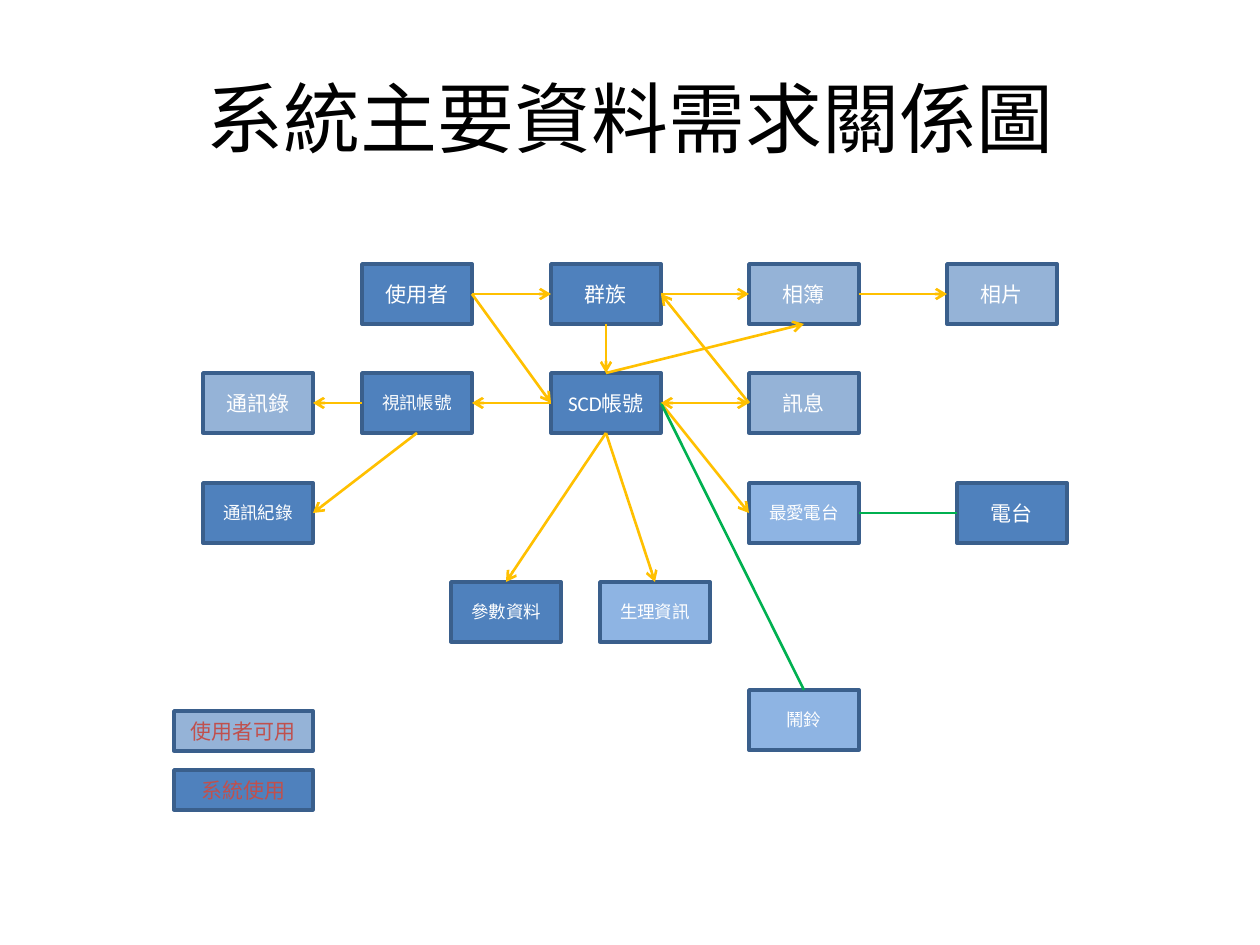
import pptx
import pptx.util
import pptx.dml.color
import pptx.enum.shapes
import pptx.enum.text
import pptx.oxml.ns
from lxml import etree

# Content
TITLE = "系統主要資料需求關係圖"
HUE = {"sys": "4F81BD", "user": "95B3D7", "soft": "8EB4E3", "edge": "3A5F8C",
       "white": "FFFFFF", "black": "000000", "red": "C0504D",
       "gold": "FFC000", "green": "00B050"}
ROWS = [264, 373, 483, 582, 690]
BOX = (110, 60)
KEY = (139, 40)

# Data boxes: text, left, row, fill, text size
NODES = [
    ("使用者", 362, 0, "sys", 12),
    ("群族", 551, 0, "sys", 12),
    ("相簿", 749, 0, "user", 12),
    ("相片", 947, 0, "user", 12),
    ("通訊錄", 203, 1, "user", 12),
    ("視訊帳號", 362, 1, "sys", 10),
    ("SCD帳號", 551, 1, "sys", 12),
    ("訊息", 749, 1, "user", 12),
    ("通訊紀錄", 203, 2, "sys", 10),
    ("最愛電台", 749, 2, "soft", 10),
    ("電台", 957, 2, "sys", 12),
    ("參數資料", 451, 3, "sys", 10),
    ("生理資訊", 600, 3, "soft", 10),
    ("鬧鈴", 749, 4, "soft", 10),
]
LEGEND = [("使用者可用", 711, "user"), ("系統使用", 770, "sys")]

# Links: from, side, to, side, colour, arrowheads
SIDES = {"top": 0, "left": 1, "bottom": 2, "right": 3}
END, BOTH = ("tailEnd",), ("headEnd", "tailEnd")
LINKS = [
    ("群族", "bottom", "SCD帳號", "top", "gold", END),
    ("使用者", "right", "群族", "left", "gold", END),
    ("群族", "right", "相簿", "left", "gold", END),
    ("相簿", "right", "相片", "left", "gold", END),
    ("訊息", "left", "群族", "right", "gold", END),
    ("SCD帳號", "left", "視訊帳號", "right", "gold", END),
    ("視訊帳號", "bottom", "通訊紀錄", "right", "gold", END),
    ("最愛電台", "right", "電台", "left", "green", ()),
    ("SCD帳號", "right", "最愛電台", "left", "gold", END),
    ("SCD帳號", "right", "鬧鈴", "top", "green", ()),
    ("SCD帳號", "bottom", "生理資訊", "top", "gold", END),
    ("SCD帳號", "bottom", "參數資料", "top", "gold", END),
    ("視訊帳號", "left", "通訊錄", "right", "gold", END),
    ("使用者", "right", "SCD帳號", "left", "gold", END),
    ("訊息", "left", "SCD帳號", "right", "gold", BOTH),
    ("SCD帳號", "top", "相簿", "bottom", "gold", END),
]


def px(n):
    return pptx.util.Emu(round(n * 914400 / 126))


def rgb(name):
    return pptx.dml.color.RGBColor.from_string(HUE[name])


def style(frame, size, hue):
    frame.word_wrap = True
    frame.vertical_anchor = pptx.enum.text.MSO_ANCHOR.MIDDLE
    para = frame.paragraphs[0]
    para.alignment = pptx.enum.text.PP_ALIGN.CENTER
    font = para.runs[0].font
    font.name, font.size = "Calibri", pptx.util.Pt(size)
    font.color.rgb = rgb(hue)


def add_box(slide, text, left, top, dims, fill, size, hue):
    box = slide.shapes.add_shape(
        pptx.enum.shapes.MSO_SHAPE.RECTANGLE,
        px(left), px(top), px(dims[0]), px(dims[1]))
    box.shadow.inherit = False
    box.fill.solid()
    box.fill.fore_color.rgb = rgb(fill)
    box.line.color.rgb = rgb("edge")
    box.line.width = pptx.util.Pt(2)
    frame = box.text_frame
    frame.text = text
    frame.margin_left = frame.margin_right = px(6)
    style(frame, size, hue)
    return box


def add_link(slide, start, out, stop, into, hue, heads):
    link = slide.shapes.add_connector(
        pptx.enum.shapes.MSO_CONNECTOR.STRAIGHT, 0, 0, 0, 0)
    link.begin_connect(start, SIDES[out])
    link.end_connect(stop, SIDES[into])
    link.line.color.rgb = rgb(hue)
    link.line.width = pptx.util.Pt(1.5)
    qn = pptx.oxml.ns.qn
    props = link._element.spPr
    for head in heads:
        etree.SubElement(props.find(qn("a:ln")), qn("a:" + head), type="arrow")
    etree.SubElement(props, qn("a:effectLst"))


def main():
    deck = pptx.Presentation()
    deck.slide_width, deck.slide_height = px(1260), px(945)
    slide = deck.slides.add_slide(deck.slide_layouts[5])

    # Title
    title = slide.shapes.title
    title.left, title.top, title.width, title.height = map(px, (63, 38, 1134, 157))
    title.text_frame.text = TITLE
    style(title.text_frame, 44, "black")

    # Data boxes and the links between them
    boxes = {text: add_box(slide, text, left, ROWS[row], BOX, fill, size, "white")
             for text, left, row, fill, size in NODES}
    for start, out, stop, into, hue, heads in LINKS:
        add_link(slide, boxes[start], out, boxes[stop], into, hue, heads)

    # Legend
    for text, top, fill in LEGEND:
        add_box(slide, text, 174, top, KEY, fill, 12, "red")

    deck.save("out.pptx")


if __name__ == "__main__":
    main()
